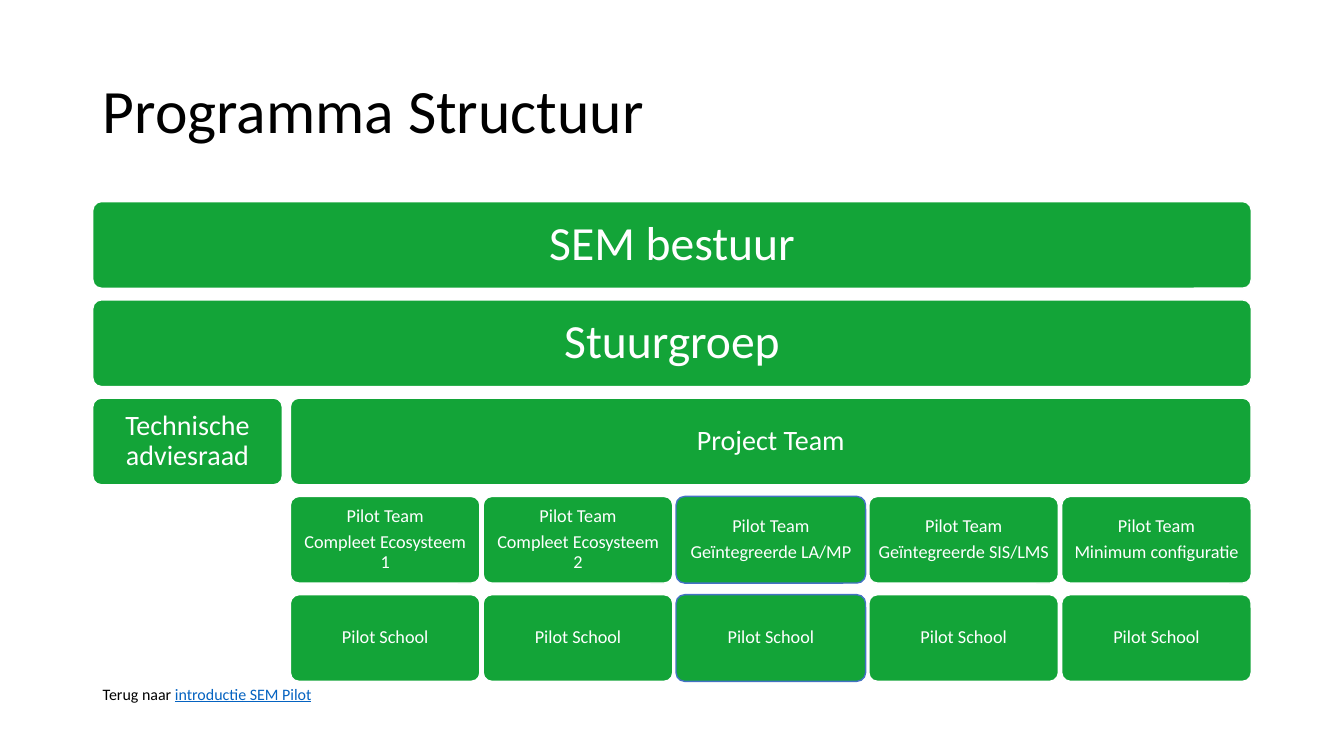
from pptx import Presentation
from pptx.dml.color import RGBColor
from pptx.enum.shapes import MSO_SHAPE
from pptx.enum.text import MSO_ANCHOR, PP_ALIGN
from pptx.util import Inches, Pt

ROUNDED = MSO_SHAPE.ROUNDED_RECTANGLE
MIDDLE, TOP = MSO_ANCHOR.MIDDLE, MSO_ANCHOR.TOP
LEFT, CENTER = PP_ALIGN.LEFT, PP_ALIGN.CENTER

FONT = "Calibri"
COLORS = {"green": "13A438", "white": "FFFFFF", "black": "000000",
          "outline": "4472C4", "link": "0563C1"}

ROW_HEIGHT, ROW_PITCH = 0.86, 0.975
COLUMN_WIDTH, BRANCH_GAP = 1.88, 0.08
INSETS = {34: 0.14, 20: 0.08, 13: 0.05}  # text margin by font size
PILOTS = ["Compleet Ecosysteem 1", "Compleet Ecosysteem 2",
          "Geïntegreerde LA/MP", "Geïntegreerde SIS/LMS",
          "Minimum configuratie"]
OUTLINED_PILOT = 2


def color(name):
    return RGBColor.from_string(COLORS[name])


def style_paragraph(paragraph, size, color_name, align, line_spacing):
    paragraph.alignment = align
    paragraph.line_spacing = line_spacing
    paragraph.font.name = FONT
    paragraph.font.size = Pt(size)
    paragraph.font.color.rgb = color(color_name)


def add_title(slide, left, top, width, height):
    title = slide.shapes.title
    title.left, title.top = Inches(left), Inches(top)
    title.width, title.height = Inches(width), Inches(height)
    title.text_frame.text = "Programma Structuur"
    title.text_frame.vertical_anchor = MIDDLE
    style_paragraph(title.text_frame.paragraphs[0], 44, "black", LEFT, 0.9)


def add_block(slide, left, top, width, lines, size, line_color="white"):
    block = slide.shapes.add_shape(ROUNDED, Inches(left), Inches(top),
                                   Inches(width), Inches(ROW_HEIGHT))
    block.adjustments[0] = 0.1
    block.shadow.inherit = False
    block.fill.solid()
    block.fill.fore_color.rgb = color("green")
    block.line.color.rgb = color(line_color)
    block.line.width = Pt(1)

    frame = block.text_frame
    frame.word_wrap = True
    frame.vertical_anchor = MIDDLE
    frame.margin_left = frame.margin_right = Inches(INSETS[size])
    frame.margin_top = frame.margin_bottom = Inches(INSETS[size])
    frame.text = "\n".join(lines)
    for paragraph in frame.paragraphs:
        style_paragraph(paragraph, size, "white", CENTER, 0.9)
        paragraph.space_after = Pt(round(size * 0.35, 1))


def add_structure(slide, left, top, width):
    rows = [top + index * ROW_PITCH for index in range(5)]

    # Governing bodies over the full width
    add_block(slide, left, rows[0], width, ["SEM bestuur"], 34)
    add_block(slide, left, rows[1], width, ["Stuurgroep"], 34)

    # Advisory council beside the project team
    team_left = left + COLUMN_WIDTH + BRANCH_GAP
    team_width = left + width - team_left
    add_block(slide, left, rows[2], COLUMN_WIDTH, ["Technische adviesraad"], 20)
    add_block(slide, team_left, rows[2], team_width, ["Project Team"], 20)

    # Pilot teams, each with its school
    pitch = (team_width - COLUMN_WIDTH) / (len(PILOTS) - 1)
    for index, pilot in enumerate(PILOTS):
        pilot_left = team_left + index * pitch
        line_color = "outline" if index == OUTLINED_PILOT else "white"
        add_block(slide, pilot_left, rows[3], COLUMN_WIDTH,
                  ["Pilot Team", pilot], 13, line_color)
        add_block(slide, pilot_left, rows[4], COLUMN_WIDTH,
                  ["Pilot School"], 13, line_color)


def add_back_reference(slide, left, top, width, height):
    box = slide.shapes.add_textbox(Inches(left), Inches(top),
                                   Inches(width), Inches(height))
    frame = box.text_frame
    frame.word_wrap = True
    frame.vertical_anchor = TOP
    paragraph = frame.paragraphs[0]
    style_paragraph(paragraph, 11.4, "black", LEFT, 0.7)
    paragraph.space_before = Pt(10)
    paragraph.add_run().text = "Terug naar "
    reference = paragraph.add_run()
    reference.text = "introductie SEM Pilot"
    reference.font.underline = True
    reference.font.color.rgb = color("link")


def main():
    presentation = Presentation()
    presentation.slide_width = Inches(13.33)
    presentation.slide_height = Inches(7.5)
    title_only = presentation.slide_layouts[5]
    slide = presentation.slides.add_slide(title_only)

    add_title(slide, 0.92, 0.4, 11.5, 1.45)
    add_structure(slide, 0.92, 2, 11.49)
    add_back_reference(slide, 0.92, 6.79, 5.69, 0.23)
    presentation.save("out.pptx")


if __name__ == "__main__":
    main()
